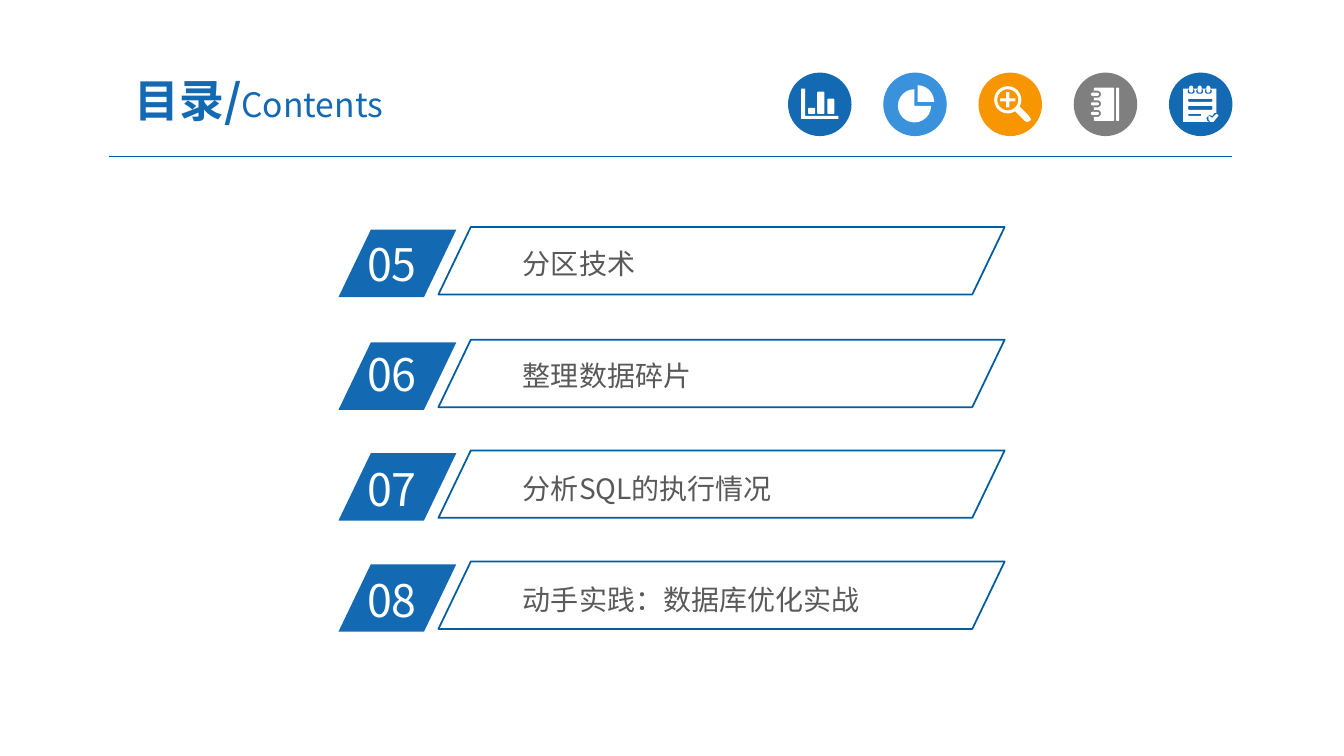
import math

import pptx
import pptx.dml.color
import pptx.enum.shapes
import pptx.enum.text
import pptx.oxml
import pptx.oxml.ns
import pptx.util

Cm = pptx.util.Cm
Pt = pptx.util.Pt
RGBColor = pptx.dml.color.RGBColor
Shapes = pptx.enum.shapes.MSO_SHAPE
Anchor = pptx.enum.text.MSO_ANCHOR
Align = pptx.enum.text.PP_ALIGN

BLUE = RGBColor(0x13, 0x69, 0xB2)
SKY = RGBColor(0x39, 0x92, 0xDB)
ORANGE = RGBColor(0xF7, 0x96, 0x00)
GREY = RGBColor(0x7F, 0x7F, 0x7F)
RULE = RGBColor(0x00, 0x5B, 0x9E)
FRAME = RGBColor(0x00, 0x5D, 0xA2)
TEXT = RGBColor(0x59, 0x59, 0x59)
WHITE = RGBColor(0xFF, 0xFF, 0xFF)

ICON_SIZE = Cm(1.6)
ICON_UNIT = ICON_SIZE / 63


def arc(x, y, radius, start, end):
    steps = max(2, round((end - start) / 15))
    angles = [math.radians(start + (end - start) * i / steps) for i in range(steps + 1)]
    return [(x + radius * math.cos(a), y + radius * math.sin(a)) for a in angles]


def rounded(x, y, width, height, radius=1):
    left, right = x + radius, x + width - radius
    top, bottom = y + radius, y + height - radius
    corners = [(right, bottom), (left, bottom), (left, top), (right, top)]
    return [point for i, (cx, cy) in enumerate(corners)
            for point in arc(cx, cy, radius, 90 * i, 90 * i + 90)]


def bar_chart_icon():
    axes = [(13, 16), (17, 16), (17, 43), (50, 43), (50, 46), (13, 46)]
    return [axes, rounded(20, 35, 7, 6), rounded(29, 19, 7, 22), rounded(39, 26, 7, 15)]


def pie_icon():
    return [[(31, 33)] + arc(31, 33, 16.5, 0, 270),
            [(34, 29)] + arc(34, 29, 16.5, 270, 360)]


def magnifier_icon():
    x, y, arm, half = 29, 27, 7.5, 1.5
    quarter = [(half, -arm), (half, -half), (arm, -half)]
    plus = []
    for _ in range(4):
        plus += [(x + dx, y + dy) for dx, dy in quarter]
        quarter = [(-dy, dx) for dx, dy in quarter]
    handle = [(36.5, 38.5), (41, 34), (50, 43), (52, 46), (51, 48), (48, 49), (46, 48)]
    return [arc(x, y, 13.5, 0, 360), arc(x, y, 10.5, 0, 360), plus, handle]


def notebook_icon():
    outlines = [rounded(42, 15, 3, 33), rounded(20, 15, 20, 33)]
    for middle in (21.5, 31, 40.5):
        notch = [(20, middle - 3.5)] + arc(23.5, middle, 3.5, -90, 90) + [(20, middle + 3.5)]
        outlines += [notch, rounded(17, middle - 1.5, 8, 3, 1.5)]
    return outlines


def checklist_icon():
    page = [(14, 16), (47, 16), (47, 40), (45, 40), (43, 43), (40, 42),
            (37, 45), (38, 48), (40, 49), (14, 49)]
    check = [(49, 43), (44, 49), (41, 49), (39, 46), (39, 44), (40, 43),
             (43, 45), (47, 41), (49, 42)]
    outlines = [page, check, rounded(19, 26, 24, 3), rounded(19, 33, 24, 4),
                rounded(19, 41, 13, 2)]
    for left in (18.5, 27, 35.5):
        outlines += [rounded(left, 16, 7, 5, 2.4), rounded(left + 1.5, 13, 4, 7, 2)]
    return outlines


class ContentsSlide:
    font = "Noto Sans CJK SC"

    def __init__(self, presentation):
        self.slide = presentation.slides.add_slide(presentation.slide_layouts[5])
        self.shapes = self.slide.shapes

    def style_run(self, run, size, color, bold=False):
        run.font.name = self.font
        run.font.size = Pt(size)
        run.font.bold = bold
        run.font.color.rgb = color
        east_asian = pptx.oxml.parse_xml(
            f'<a:ea {pptx.oxml.ns.nsdecls("a")} typeface="{self.font}"/>')
        run.font._element.find(pptx.oxml.ns.qn("a:latin")).addnext(east_asian)

    def paint(self, shape, fill=None, line=None):
        shape.shadow.inherit = False
        if fill is None:
            shape.fill.background()
        else:
            shape.fill.solid()
            shape.fill.fore_color.rgb = fill
        if line is None:
            shape.line.fill.background()
        else:
            shape.line.color.rgb = line
            shape.line.width = Pt(1.25)

    def title(self, heading, subtitle):
        title = self.shapes.title
        title.left, title.top, title.width, title.height = Cm(2.34), Cm(1.6), Cm(8.36), Cm(1.83)
        frame = title.text_frame
        frame.vertical_anchor = Anchor.MIDDLE
        frame.margin_left = frame.margin_right = Cm(0.33)
        frame.margin_top = frame.margin_bottom = Cm(0.18)
        paragraph = frame.paragraphs[0]
        paragraph.alignment = Align.CENTER
        paragraph.space_before = Pt(0)
        for text, size, bold in ((heading, 32, True), (subtitle, 24, False)):
            run = paragraph.add_run()
            run.text = text
            self.style_run(run, size, BLUE, bold)

    def rule(self, left, right, y):
        connector = self.shapes.add_connector(
            pptx.enum.shapes.MSO_CONNECTOR.STRAIGHT, left, y, right, y)
        connector.line.color.rgb = RULE
        connector.line.width = Pt(0.75)
        connector._element.spPr.append(
            pptx.oxml.parse_xml(f'<a:effectLst {pptx.oxml.ns.nsdecls("a")}/>'))

    def icon(self, left, top, color, outlines):
        circle = self.shapes.add_shape(Shapes.OVAL, left, top, ICON_SIZE, ICON_SIZE)
        self.paint(circle, fill=color)
        scaled = [[(left + x * ICON_UNIT, top + y * ICON_UNIT) for x, y in outline]
                  for outline in outlines]
        builder = self.shapes.build_freeform(*scaled[0][0])
        builder.add_line_segments(scaled[0][1:])
        for outline in scaled[1:]:
            builder.move_to(*outline[0])
            builder.add_line_segments(outline[1:])
        self.paint(builder.convert_to_shape(), fill=WHITE)

    def parallelogram(self, left, top, width, fill=None, line=None):
        shape = self.shapes.add_shape(Shapes.PARALLELOGRAM, left, top, width, Cm(1.7))
        shape.adjustments[0] = 0.48
        self.paint(shape, fill, line)

    def text(self, text, left, top, width, height, size, color, margins):
        frame = self.shapes.add_textbox(left, top, width, height).text_frame
        frame.word_wrap = True
        frame.margin_left = frame.margin_right = margins[0]
        frame.margin_top = frame.margin_bottom = margins[1]
        frame.text = text
        self.style_run(frame.paragraphs[0].runs[0], size, color)

    def entry(self, number, label, top, number_top, label_top):
        self.parallelogram(Cm(8.53), top + Cm(0.07), Cm(2.97), fill=BLUE)
        self.text(number, Cm(9), number_top, Cm(2.84), Cm(1.62), 32, WHITE,
                  (Cm(0.25), Cm(0.13)))
        self.parallelogram(Cm(11.05), top, Cm(14.27), line=FRAME)
        self.text(label, Cm(13), label_top, Cm(11), Cm(1.05), 20, TEXT,
                  (Cm(0.18), Cm(0.1)))


def main():
    presentation = pptx.Presentation()
    presentation.slide_width, presentation.slide_height = Cm(33.87), Cm(19.05)
    contents = ContentsSlide(presentation)
    contents.title("目录/", "Contents")
    contents.rule(Cm(2.75), Cm(31.06), Cm(3.94))
    icons = [(BLUE, bar_chart_icon()), (SKY, pie_icon()), (ORANGE, magnifier_icon()),
             (GREY, notebook_icon()), (BLUE, checklist_icon())]
    for index, (color, outlines) in enumerate(icons):
        contents.icon(Cm(19.86) + index * Cm(2.4), Cm(1.83), color, outlines)
    entries = [
        ("05", "分区技术", 5.72, 5.84, 6.1),
        ("06", "整理数据碎片", 8.56, 8.61, 8.94),
        ("07", "分析SQL的执行情况", 11.35, 11.51, 11.79),
        ("08", "动手实践：数据库优化实战", 14.15, 14.3, 14.58),
    ]
    for number, label, *tops in entries:
        contents.entry(number, label, *map(Cm, tops))
    presentation.save("out.pptx")


if __name__ == "__main__":
    main()
